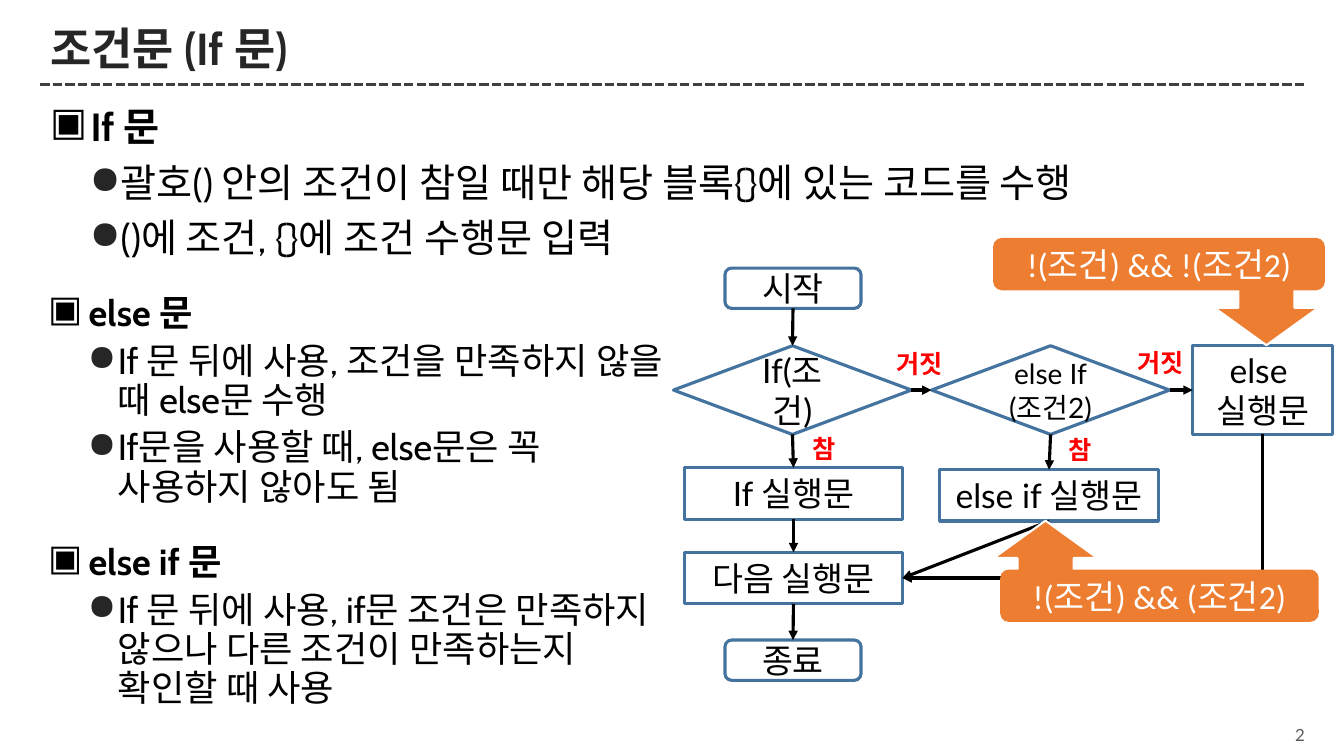
from pptx import Presentation
from pptx.dml.color import RGBColor
from pptx.enum.dml import MSO_LINE
from pptx.enum.shapes import MSO_CONNECTOR, MSO_SHAPE
from pptx.enum.text import MSO_ANCHOR, PP_ALIGN
from pptx.oxml.ns import qn
from pptx.util import Inches, Pt
from lxml import etree

LEFT, CENTER, RIGHT = PP_ALIGN.LEFT, PP_ALIGN.CENTER, PP_ALIGN.RIGHT
TOP, MIDDLE = MSO_ANCHOR.TOP, MSO_ANCHOR.MIDDLE
STRAIGHT, ELBOW = MSO_CONNECTOR.STRAIGHT, MSO_CONNECTOR.ELBOW
RECT, ROUND = MSO_SHAPE.RECTANGLE, MSO_SHAPE.ROUNDED_RECTANGLE
DIAMOND, ARROW = MSO_SHAPE.DIAMOND, MSO_SHAPE.RIGHT_ARROW
SITE_TOP, SITE_LEFT, SITE_BOTTOM, SITE_RIGHT = range(4)
ORANGE, WHITE, BLACK = "ED7D31", "FFFFFF", "000000"
BULLETS = [("▣", BLACK, 0.4, 0.4), ("●", "262626", 0.69, 0.3)]


def color(value):
    return RGBColor.from_string(value)


def write(box, text, size=24, font="Lato", ink=BLACK, bold=False, align=CENTER,
          anchor=MIDDLE, level=None, before=0, spacing=None):
    frame = box.text_frame
    frame.word_wrap = True
    frame.vertical_anchor = anchor
    para = frame.add_paragraph() if frame.text else frame.paragraphs[0]
    para.text = text
    para.alignment = align
    if level is not None:
        mark, mark_color, margin, hanging = BULLETS[level]
        props = para._p.get_or_add_pPr()
        props.set("marL", str(Inches(margin)))
        props.set("indent", str(-Inches(hanging)))
        bullet_color = etree.SubElement(props, qn("a:buClr"))
        etree.SubElement(bullet_color, qn("a:srgbClr"), val=mark_color)
        etree.SubElement(props, qn("a:buChar"), char=mark)
        para.level = level
    para.space_before = Pt(before)
    if spacing:
        para.line_spacing = spacing
    for span in para.runs:
        span.font.size = Pt(size)
        span.font.name = font
        span.font.bold = bold
        span.font.color.rgb = color(ink)


deck = Presentation()
deck.slide_width, deck.slide_height = Inches(13.33), Inches(7.5)
page = deck.slides.add_slide(deck.slide_layouts[6])
shapes = page.shapes

number = shapes.add_textbox(Inches(12.54), Inches(7.13), Inches(0.5), Inches(0.32))
write(number, "2", size=12, ink="595959", align=RIGHT)

rule = shapes.add_connector(STRAIGHT, Inches(0.4), Inches(0.84), Inches(12.96), Inches(0.84))
rule.line.color.rgb = color("404040")
rule.line.width = Pt(2.25)
rule.line.dash_style = MSO_LINE.SQUARE_DOT
etree.SubElement(rule._element.spPr, qn("a:effectLst"))

title = shapes.add_textbox(Inches(0.4), Inches(0.21), Inches(12.56), Inches(0.59))
write(title, "조건문 (If 문)", size=32, font="Cabin", ink="262626", bold=True,
      align=LEFT, spacing=0.9)

OUTLINES = [
    ((0.4, 0.97, 11.74, 1.8), 28, None, [
        (0, 0, "If 문"),
        (1, 6, "괄호() 안의 조건이 참일 때만 해당 블록{}에 있는 코드를 수행"),
        (1, 6, "()에 조건, {}에 조건 수행문 입력"),
    ]),
    ((0.38, 2.88, 6.38, 4.62), 25.9, 0.9, [
        (0, 0, "else 문"),
        (1, 6, "If 문 뒤에 사용, 조건을 만족하지 않을 때 else문 수행"),
        (1, 6, "If문을 사용할 때, else문은 꼭 사용하지 않아도 됨"),
        (0, 26, "else if 문"),
        (1, 6, "If 문 뒤에 사용, if문 조건은 만족하지 않으나 다른 조건이 만족하는지 확인할 때 사용"),
    ]),
]
for place, size, spacing, lines in OUTLINES:
    outline = shapes.add_textbox(*map(Inches, place))
    for level, before, text in lines:
        write(outline, text, size=size, font="Cabin", bold=level == 0, align=LEFT,
              anchor=TOP, level=level, before=before, spacing=spacing)

STEPS = {
    "start": (ROUND, 7.19, 2.66, 1.35, 0.4, "시작", 24),
    "if": (DIAMOND, 6.68, 3.43, 2.36, 0.88, "If(조건)", 24),
    "if body": (RECT, 6.79, 4.64, 2.16, 0.51, "If 실행문", 24),
    "next": (RECT, 6.79, 5.48, 2.16, 0.51, "다음 실행문", 24),
    "end": (ROUND, 7.19, 6.35, 1.35, 0.4, "종료", 24),
    "else if": (DIAMOND, 9.24, 3.43, 2.36, 0.88, "else If\v(조건2)", 20),
    "else": (RECT, 11.83, 3.43, 1.39, 0.88, "else \v실행문", 24),
    "else if body": (RECT, 9.32, 4.66, 2.17, 0.51, "else if 실행문", 24),
}
steps = {}
for name, (kind, left, top, width, height, text, size) in STEPS.items():
    step = shapes.add_shape(kind, Inches(left), Inches(top), Inches(width), Inches(height))
    step.shadow.inherit = False
    step.fill.background()
    step.line.color.rgb = color("43739E")
    step.line.width = Pt(2.25)
    write(step, text, size=size)
    steps[name] = step

FLOWS = [
    ("start", SITE_BOTTOM, "if", SITE_TOP, STRAIGHT),
    ("if", SITE_BOTTOM, "if body", SITE_TOP, STRAIGHT),
    ("if body", SITE_BOTTOM, "next", SITE_TOP, STRAIGHT),
    ("next", SITE_BOTTOM, "end", SITE_TOP, STRAIGHT),
    ("if", SITE_RIGHT, "else if", SITE_LEFT, STRAIGHT),
    ("else if", SITE_BOTTOM, "else if body", SITE_TOP, STRAIGHT),
    ("else if", SITE_RIGHT, "else", SITE_LEFT, STRAIGHT),
    ("else if body", SITE_BOTTOM, "next", SITE_RIGHT, STRAIGHT),
    ("next", SITE_RIGHT, "else", SITE_BOTTOM, ELBOW),
]
for source, source_site, target, target_site, kind in FLOWS:
    flow = shapes.add_connector(kind, 0, 0, 0, 0)
    flow.begin_connect(steps[source], source_site)
    flow.end_connect(steps[target], target_site)
    flow.line.color.rgb = color(BLACK)
    flow.line.width = Pt(2.25)
    arrowhead = "a:tailEnd"
    if kind == ELBOW:
        flow._element.spPr.find(qn("a:prstGeom")).set("prst", "bentConnector2")
        arrowhead = "a:headEnd"
    etree.SubElement(flow.line._get_or_add_ln(), qn(arrowhead), type="triangle")
    etree.SubElement(flow._element.spPr, qn("a:effectLst"))

BRANCHES = [("참", 7.87, 4.25, 0.6), ("거짓", 8.71, 3.41, 0.82),
            ("거짓", 11.1, 3.4, 0.82), ("참", 10.41, 4.26, 0.6)]
for text, left, top, width in BRANCHES:
    branch = shapes.add_textbox(Inches(left), Inches(top), Inches(width), Inches(0.4))
    write(branch, text, size=18, ink="FF0000", bold=True, anchor=TOP)

CALLOUTS = [
    ("!(조건) && (조건2)", (10.02, 5, 0.7, 1.03), 270, (9.92, 5.65, 3.16, 0.52)),
    ("!(조건) && !(조건2)", (12.21, 2.56, 0.7, 1.03), 90, (9.85, 2.36, 3.29, 0.52)),
]
for text, pointer_place, turn, label_place in CALLOUTS:
    pointer = shapes.add_shape(ARROW, *map(Inches, pointer_place))
    pointer.rotation = turn
    pointer.adjustments[0], pointer.adjustments[1] = 0.54, 0.53
    pointer.line.color.rgb = color(WHITE)
    pointer.line.width = Pt(1.5)
    label = shapes.add_shape(ROUND, *map(Inches, label_place))
    label.line.fill.background()
    for part in (pointer, label):
        part.shadow.inherit = False
        part.fill.solid()
        part.fill.fore_color.rgb = color(ORANGE)
    write(label, text, font="Calibri", ink=WHITE)

deck.save("out.pptx")
